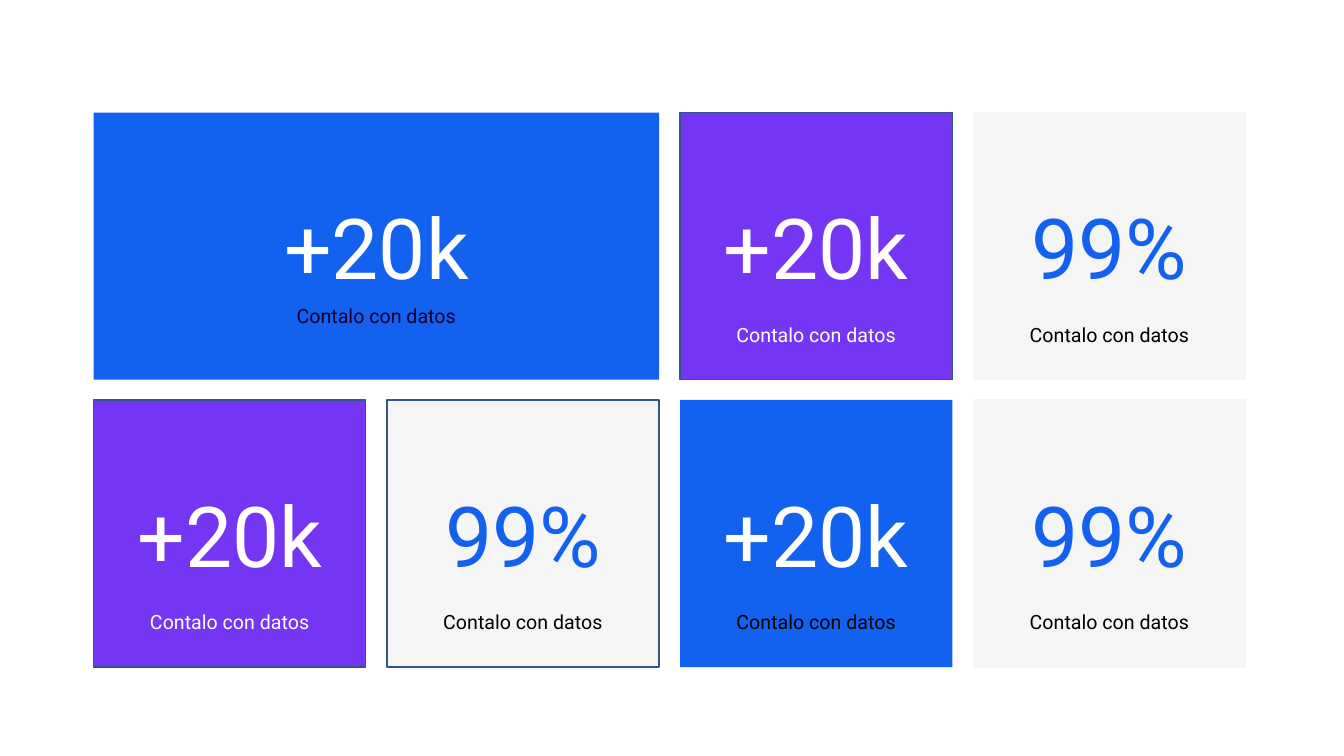
from dataclasses import dataclass

from pptx import Presentation
from pptx.dml.color import RGBColor
from pptx.enum.shapes import MSO_SHAPE
from pptx.enum.text import MSO_ANCHOR, PP_ALIGN
from pptx.util import Cm, Pt


@dataclass(frozen=True)
class Theme:
    font: str = "Roboto"
    blue: str = "1261EF"
    purple: str = "7436F3"
    grey: str = "F5F5F5"
    outline: str = "325491"
    white: str = "FFFFFF"
    black: str = "000000"
    ink: str = "0F002F"
    figure_size: int = 60
    caption_size: int = 14
    line_width: int = 1


THEME = Theme()

# Grid in centimetres
LEFT, TOP = 2.36, 2.84
CARD_WIDTH, CARD_HEIGHT = 6.86, 6.73
COLUMN_STEP, ROW_STEP = 7.39, 7.24
CAPTION_HEIGHT = 0.86
CAPTION_DROP = 5.16
WIDE_CAPTION_DROP = 4.7


@dataclass(frozen=True)
class Card:
    row: int
    column: int
    figure: str
    fill: str
    figure_color: str
    caption_color: str
    line: str | None = None
    columns: int = 1

    @property
    def left(self):
        return LEFT + self.column * COLUMN_STEP

    @property
    def top(self):
        return TOP + self.row * ROW_STEP

    @property
    def width(self):
        return CARD_WIDTH + (self.columns - 1) * COLUMN_STEP


CARDS = [
    Card(0, 0, "+20k", THEME.blue, THEME.white, THEME.ink, columns=2),
    Card(0, 2, "+20k", THEME.purple, THEME.white, THEME.white, THEME.outline),
    Card(0, 3, "99%", THEME.grey, THEME.blue, THEME.black, THEME.grey),
    Card(1, 0, "+20k", THEME.purple, THEME.white, THEME.white, THEME.outline),
    Card(1, 1, "99%", THEME.grey, THEME.blue, THEME.black, THEME.outline),
    Card(1, 2, "+20k", THEME.blue, THEME.white, THEME.black),
    Card(1, 3, "99%", THEME.grey, THEME.blue, THEME.black, THEME.grey),
]


def write(frame, text, *, size, color, font, anchor=MSO_ANCHOR.TOP):
    frame.word_wrap = True
    frame.vertical_anchor = anchor
    para = frame.paragraphs[0]
    para.alignment = PP_ALIGN.CENTER
    span = para.add_run()
    span.text = text
    span.font.name = font
    span.font.size = Pt(size)
    span.font.color.rgb = RGBColor.from_string(color)


class Painter:
    def __init__(self, page, theme):
        self.page = page
        self.theme = theme

    def card(self, card):
        box = self.page.shapes.add_shape(
            MSO_SHAPE.RECTANGLE,
            Cm(card.left), Cm(card.top), Cm(card.width), Cm(CARD_HEIGHT),
        )
        box.shadow.inherit = False
        box.fill.solid()
        box.fill.fore_color.rgb = RGBColor.from_string(card.fill)
        if card.line:
            box.line.color.rgb = RGBColor.from_string(card.line)
            box.line.width = Pt(self.theme.line_width)
        else:
            box.line.fill.background()
        write(box.text_frame, card.figure, size=self.theme.figure_size,
              color=card.figure_color, font=self.theme.font,
              anchor=MSO_ANCHOR.MIDDLE)

    def caption(self, card, text):
        drop = WIDE_CAPTION_DROP if card.columns > 1 else CAPTION_DROP
        left = card.left + (card.width - CARD_WIDTH) / 2
        box = self.page.shapes.add_textbox(
            Cm(left), Cm(card.top + drop), Cm(CARD_WIDTH), Cm(CAPTION_HEIGHT),
        )
        write(box.text_frame, text, size=self.theme.caption_size,
              color=card.caption_color, font=self.theme.font)


def main():
    deck = Presentation()
    deck.slide_width, deck.slide_height = Cm(33.87), Cm(19.05)
    blank_layout = deck.slide_layouts[6]
    painter = Painter(deck.slides.add_slide(blank_layout), THEME)
    for card in CARDS:
        painter.card(card)
    for card in CARDS:
        painter.caption(card, "Contalo con datos")
    deck.save("out.pptx")


if __name__ == "__main__":
    main()
